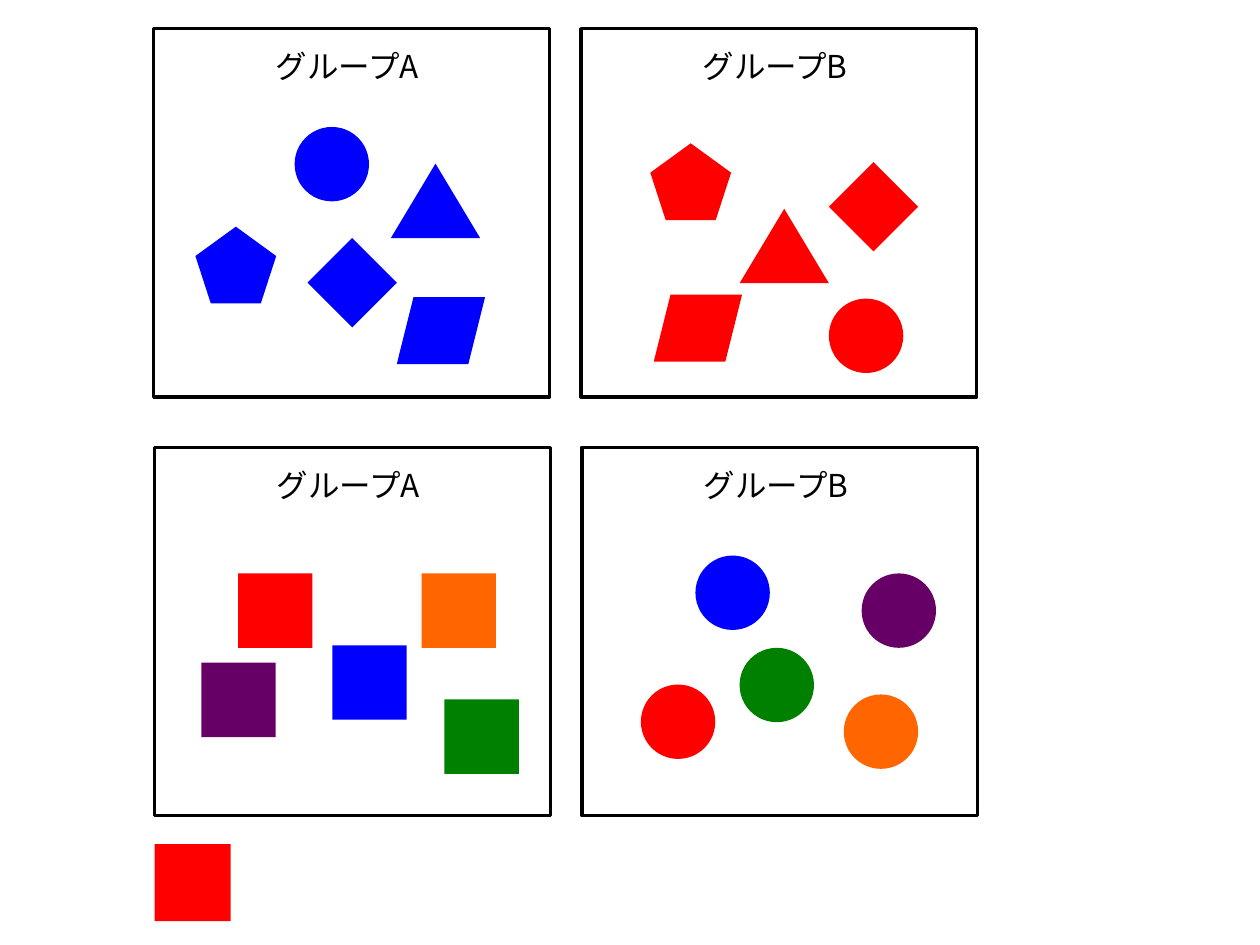
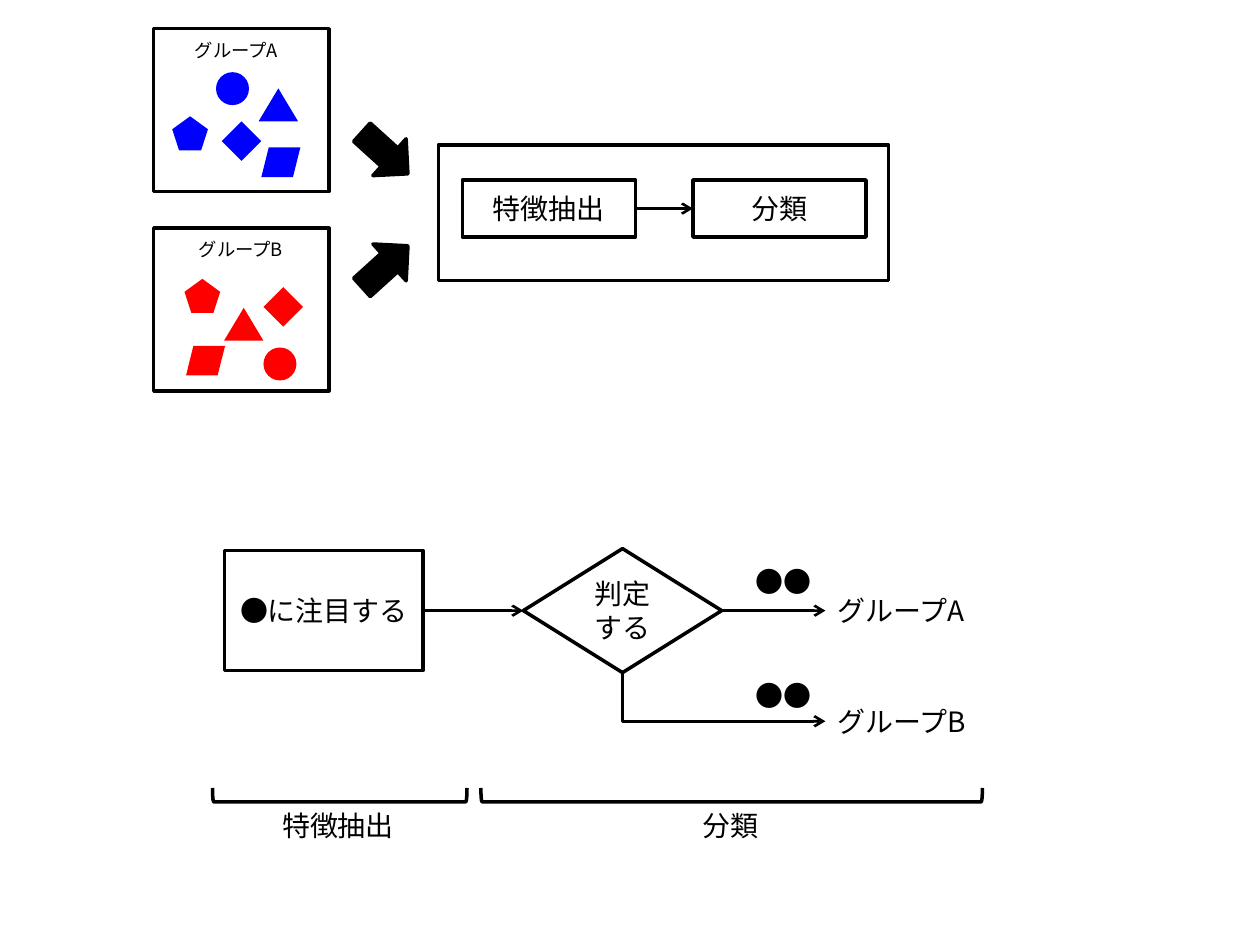
from lxml.etree import SubElement
from pptx import Presentation
from pptx.dml.color import RGBColor
from pptx.enum.shapes import MSO_CONNECTOR as LINK, MSO_SHAPE as SHAPE
from pptx.enum.text import MSO_ANCHOR as ANCHOR, PP_ALIGN as ALIGN
from pptx.oxml.ns import qn
from pptx.util import Cm, Pt

BLACK = RGBColor(0x00, 0x00, 0x00)
WHITE = RGBColor(0xFF, 0xFF, 0xFF)
BLUE = RGBColor(0x00, 0x00, 0xFF)
RED = RGBColor(0xFF, 0x00, 0x00)
GREEN = RGBColor(0x00, 0x80, 0x00)
PURPLE = RGBColor(0x66, 0x00, 0x66)
ORANGE = RGBColor(0xFF, 0x66, 0x00)
FONT = "Noto Sans CJK JP"
FRAME_W, FRAME_H = 7.98, 7.42
SMALL = 3.53 / FRAME_W
DOT = 1.5


def draw(page, kind, x, y, w, h, fill=None, outlined=False):
    """Add a preset shape, measured in centimetres."""
    shape = page.shapes.add_shape(kind, Cm(x), Cm(y), Cm(w), Cm(h))
    shape.shadow.inherit = False
    if fill is None:
        shape.fill.background()
    else:
        shape.fill.solid()
        shape.fill.fore_color.rgb = fill
    if outlined:
        shape.line.color.rgb = BLACK
        shape.line.width = Pt(2)
    else:
        shape.line.fill.background()
    return shape


def write(shape, text, size=16, wrap=False, align=ALIGN.LEFT, anchor=ANCHOR.TOP):
    """Put one paragraph per line of text into a shape or text box."""
    frame = shape.text_frame
    frame.word_wrap = wrap
    frame.vertical_anchor = anchor
    frame.text = text
    for para in frame.paragraphs:
        para.alignment = align
        for span in para.runs:
            for name, value in {"name": FONT, "size": Pt(size)}.items():
                setattr(span.font, name, value)
            span.font.color.rgb = BLACK
            SubElement(span.font._element, qn("a:ea"), typeface=FONT)
    return shape


deck = Presentation()
deck.slide_width, deck.slide_height = Cm(25.4), Cm(19.05)
groups_page, flow_page = [deck.slides.add_slide(deck.slide_layouts[6]) for _ in range(2)]

# Figures inside a frame: kind, offset from the frame, size, colour
figure_sizes = {
    SHAPE.OVAL: (DOT, DOT),
    SHAPE.ISOSCELES_TRIANGLE: (1.8, 1.5),
    SHAPE.DIAMOND: (1.8, 1.8),
    SHAPE.PARALLELOGRAM: (1.78, 1.35),
    SHAPE.REGULAR_PENTAGON: (1.63, 1.55),
}
blue_places = [(2.84, 1.98), (4.78, 2.72), (3.1, 4.22), (4.9, 5.41), (0.84, 3.99)]
red_places = [(5, 5.44), (3.2, 3.63), (5, 2.69), (1.47, 5.36), (1.4, 2.31)]
blue_figures, red_figures = [
    [(kind, *place, *size, colour)
     for (kind, size), place in zip(figure_sizes.items(), places)]
    for places, colour in ((blue_places, BLUE), (red_places, RED))
]

colours = [RED, ORANGE, BLUE, PURPLE, GREEN]
square_places = [(1.68, 2.54), (5.38, 2.54), (3.58, 3.99), (0.94, 4.34), (5.84, 5.08)]
circle_places = [(1.19, 4.78), (5.28, 4.98), (2.29, 2.18), (5.64, 2.54), (3.18, 4.04)]
squares, circles = [
    [(kind, *place, DOT, DOT, colour) for place, colour in zip(places, colours)]
    for kind, places in ((SHAPE.RECTANGLE, square_places), (SHAPE.OVAL, circle_places))
]

# Framed groups: page, frame corner, scale, title, title offset, width, size, wrap, figures
groups = [
    (groups_page, 3.1, 0.58, 1, "グループA", 2.21, 0.25, 3.58, 18, False, blue_figures),
    (groups_page, 11.71, 0.58, 1, "グループB", 2.21, 0.25, 3.53, 18, True, red_figures),
    (groups_page, 3.12, 9.02, 1, "グループA", 2.21, 0.25, 3.58, 18, False, squares),
    (groups_page, 11.73, 9.02, 1, "グループB", 2.21, 0.25, 3.53, 18, True, circles),
    (flow_page, 3.1, 0.58, SMALL, "グループA", 0.58, 0.08, 2.29, 10.5, False, blue_figures),
    (flow_page, 3.1, 4.6, SMALL, "グループB", 0.66, 0.08, 2.36, 10.5, False, red_figures),
]
for page, x, y, scale, title, dx, dy, title_w, size, wrap, figures in groups:
    draw(page, SHAPE.RECTANGLE, x, y, FRAME_W * scale, FRAME_H * scale, outlined=True)
    for kind, left, top, w, h, colour in figures:
        draw(page, kind, x + left * scale, y + top * scale, w * scale, h * scale, colour)
    box = page.shapes.add_textbox(Cm(x + dx), Cm(y + dy), Cm(title_w), Cm(0.73))
    write(box, title, size, wrap)

draw(groups_page, SHAPE.RECTANGLE, 3.12, 17.02, 1.53, 1.55, RED)

# Block arrows from the two groups into the system
for kind, y, angle in ((SHAPE.DOWN_ARROW, 2.46, -47.9), (SHAPE.UP_ARROW, 4.75, 47.9)):
    draw(flow_page, kind, 7.26, y, 1, 1.25, BLACK, True).rotation = angle

# Boxes of the system and of the decision flow
draw(flow_page, SHAPE.RECTANGLE, 8.84, 2.92, 9.07, 2.74, WHITE, True)
steps = [
    (SHAPE.RECTANGLE, 9.32, 3.63, 3.49, 1.15, "特徴抽出"),
    (SHAPE.RECTANGLE, 13.97, 3.63, 3.49, 1.15, "分類"),
    (SHAPE.RECTANGLE, 4.53, 11.1, 4, 2.42, "●に注目する"),
    (SHAPE.DIAMOND, 10.55, 11.06, 4, 2.5, "判定\nする"),
]
extraction, classification, attention, decision = [
    write(draw(flow_page, *step, WHITE, True), text, 16, True, ALIGN.CENTER, ANCHOR.MIDDLE)
    for *step, text in steps
]

labels = [
    ("グループA", 16.64, 11.84, 3.23, False),
    ("グループB", 16.64, 14.07, 3.2, True),
    ("●●", 14.99, 11.25, 1.65, False),
    ("●●", 14.99, 13.56, 1.65, False),
    ("特徴抽出", 5.44, 16.18, 2.79, False),
    ("分類", 13.92, 16.18, 1.65, False),
]
result_a, result_b, *_ = [
    write(flow_page.shapes.add_textbox(Cm(x), Cm(y), Cm(w), Cm(0.94)), text, wrap=wrap)
    for text, x, y, w, wrap in labels
]

# Brackets under the flow, turned to open upwards
for x, y, length in ((6.71, 13.46, 5.13), (14.61, 10.97, 10.11)):
    draw(flow_page, SHAPE.LEFT_BRACKET, x, y, 0.28, length, outlined=True).rotation = 270

links = [
    (LINK.STRAIGHT, extraction, 3, classification),
    (LINK.STRAIGHT, attention, 3, decision),
    (LINK.STRAIGHT, decision, 3, result_a),
    (LINK.ELBOW, decision, 2, result_b),
]
for kind, source, side, target in links:
    link = flow_page.shapes.add_connector(kind, 0, 0, 0, 0)
    link.begin_connect(source, side)
    link.end_connect(target, 1)
    link.line.color.rgb = BLACK
    link.line.width = Pt(1.5)
    SubElement(link.line._get_or_add_ln(), qn("a:tailEnd"), type="arrow")
    properties = link._element.spPr
    SubElement(properties, qn("a:effectLst"))
    if kind == LINK.ELBOW:
        # One bend, first down and then right: a turned and flipped bentConnector2
        run, drop = link.width, link.height
        link.left += (run - drop) // 2
        link.top -= (run - drop) // 2
        link.width, link.height = drop, run
        properties.find(qn("a:prstGeom")).set("prst", "bentConnector2")
        transform = properties.find(qn("a:xfrm"))
        transform.set("rot", "16200000")
        transform.set("flipH", "1")

deck.save("out.pptx")
